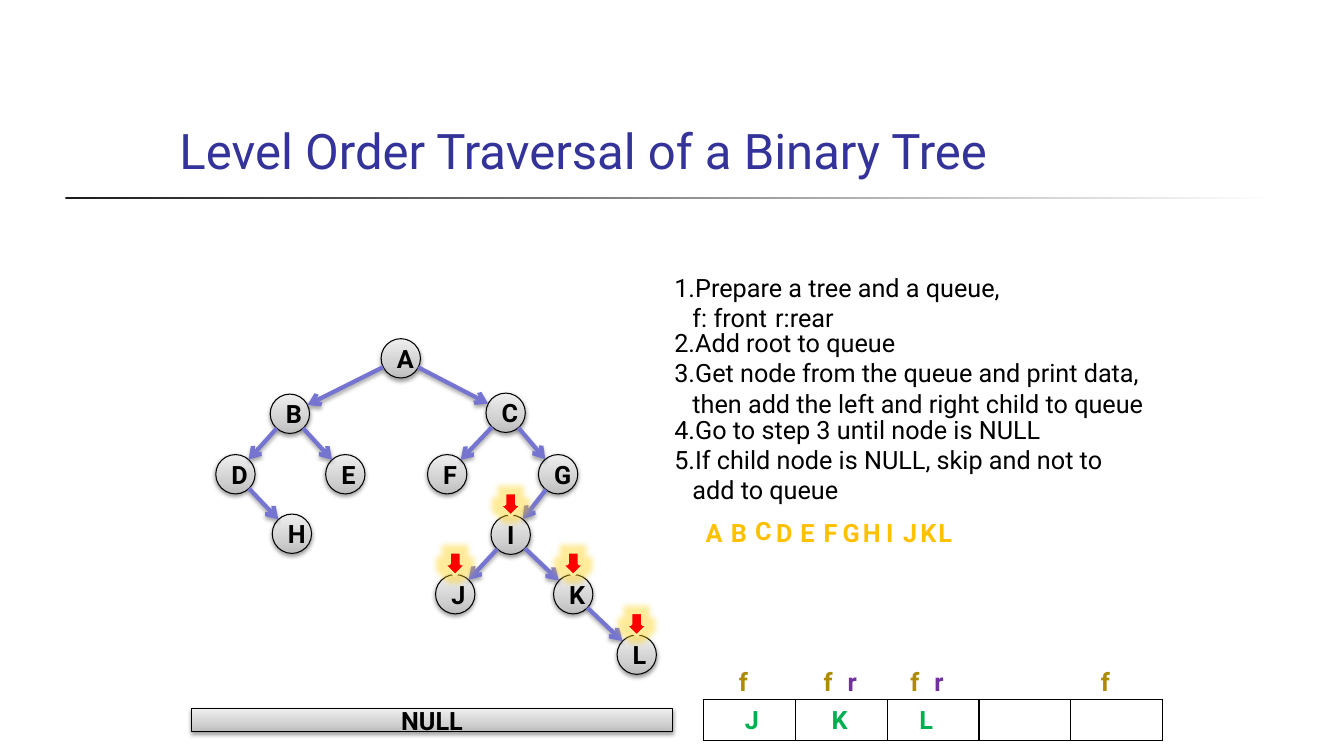
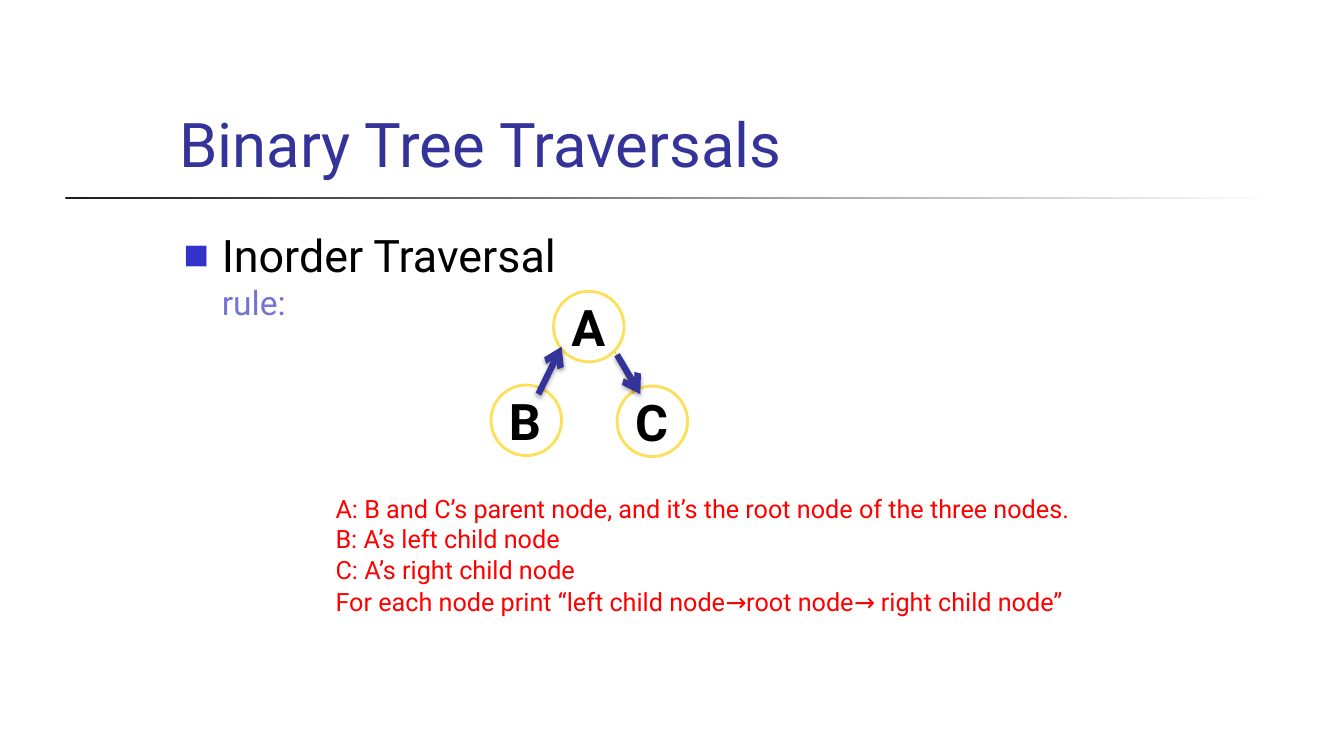
from math import hypot

from lxml import etree
from pptx import Presentation
from pptx.dml.color import RGBColor
from pptx.enum.shapes import MSO_CONNECTOR, MSO_SHAPE
from pptx.enum.text import MSO_ANCHOR, MSO_AUTO_SIZE, PP_ALIGN
from pptx.oxml import parse_xml
from pptx.oxml.ns import nsdecls, qn
from pptx.util import Inches, Pt

LEFT, CENTER = PP_ALIGN.LEFT, PP_ALIGN.CENTER
TOP, MIDDLE, BOTTOM = MSO_ANCHOR.TOP, MSO_ANCHOR.MIDDLE, MSO_ANCHOR.BOTTOM
RECT, OVAL, DOWN = MSO_SHAPE.RECTANGLE, MSO_SHAPE.OVAL, MSO_SHAPE.DOWN_ARROW
STRAIGHT = MSO_CONNECTOR.STRAIGHT
NO_FIT = MSO_AUTO_SIZE.NONE

FONT = "Roboto"
BLACK = RGBColor(0x00, 0x00, 0x00)
NAVY = RGBColor(0x33, 0x33, 0x99)
BULLET = RGBColor(0x33, 0x33, 0xCC)
LILAC = RGBColor(0x75, 0x75, 0xD1)
RED = RGBColor(0xFF, 0x00, 0x00)
AMBER = RGBColor(0xFF, 0xC0, 0x00)
GOLD = RGBColor(0xFF, 0xCF, 0x01)
YELLOW = RGBColor(0xFE, 0xDF, 0x59)
CREAM = RGBColor(0xFF, 0xEC, 0x99)
OLIVE = RGBColor(0xAD, 0x8C, 0x01)
GREEN = RGBColor(0x00, 0xB0, 0x50)
PURPLE = RGBColor(0x70, 0x30, 0xA0)
RULE_STOPS = [(0, "1C1C1C"), (100, "FFFFFF")]
NODE_STOPS = [(0, "BDBDBD"), (35, "D1D1D1"), (100, "EEEEEE")]

NODE_SIZE = 0.39
NODES = {
    "A": (1.88, 0), "B": (0.78, 0.55), "C": (2.92, 0.54),
    "D": (0.24, 1.15), "E": (1.33, 1.15), "F": (2.34, 1.15),
    "G": (3.44, 1.15), "H": (0.8, 1.74), "I": (2.97, 1.75),
    "J": (2.42, 2.34), "K": (3.59, 2.34), "L": (4.22, 2.94),
}
EDGES = ["AB", "BD", "BE", "DH", "AC", "CF", "CG", "GI", "IJ", "IK", "KL"]
STEPS = [
    (0, ["1.Prepare a tree and a queue,", "f: front\tr:rear"]),
    (0.55, ["2.Add root to queue"]),
    (0.85, ["3.Get node from the queue and print data,",
            "then add the left and right child to queue"]),
    (1.41, ["4.Go to step 3 until node is NULL"]),
    (1.71, ["5.If child node is NULL, skip and not to", "add to queue"]),
]
VISITED = [("A", 0), ("B", 0.25), ("C", 0.49), ("D", 0.7), ("E", 0.94),
           ("F", 1.17), ("G", 1.36), ("H", 1.56), ("I", 1.79), ("J", 1.96),
           ("K", 2.13), ("L", 2.31)]
POINTERS = [("f", 0.25), ("f", 1.09), ("r", 1.33), ("f", 1.95),
            ("r", 2.19), ("f", 3.84)]
QUEUED = [("J", 0.31), ("K", 1.17), ("L", 2.04)]
RULES = [
    (0, "A: B and C’s parent node, and it’s the root node of the three nodes."),
    (0.3, "B: A’s left child node"),
    (0.61, "C: A’s right child node"),
    (0.93, "For each node print “left child node→root node→ right child node”"),
]


def write(p, text, size=18, color=BLACK, bold=False, align=LEFT):
    """Add a formatted run to a paragraph."""
    p.alignment = align
    r = p.add_run()
    r.text = text
    r.font.name, r.font.size, r.font.bold = FONT, Pt(size), bold
    r.font.color.rgb = color


def place(sp, x, y, w, h):
    """Move and size a shape, in inches."""
    sp.left, sp.top, sp.width, sp.height = map(Inches, (x, y, w, h))


def label(s, text, x, y, w=0.5, h=0.4, **fmt):
    """Add a one-line text box."""
    tf = s.shapes.add_textbox(*map(Inches, (x, y, w, h))).text_frame
    tf.word_wrap = True
    write(tf.paragraphs[0], text, **fmt)
    return tf


def add_effect(effects, tag, color, alpha, **attrs):
    """Append a shadow or glow to an effect list."""
    effect = etree.SubElement(effects, qn("a:" + tag))
    for name, value in attrs.items():
        effect.set(name, str(value))
    clr = etree.SubElement(effect, qn("a:srgbClr"), val=str(color))
    etree.SubElement(clr, qn("a:alpha"), val=str(alpha * 1000))


def drop_shadow(effects, alpha, dist):
    """Append the soft downward shadow used on nodes and arrows."""
    add_effect(effects, "outerShdw", BLACK, alpha, blurRad=Pt(3.1),
               dist=Pt(dist), dir=5400000, rotWithShape=0)


def shape(s, kind, x, y, w, h, fill=None, line=None, width=0.75):
    """Add a preset shape without a shadow."""
    sp = s.shapes.add_shape(kind, *map(Inches, (x, y, w, h)))
    sp.shadow.inherit = False
    if fill is None:
        sp.fill.background()
    else:
        sp.fill.solid()
        sp.fill.fore_color.rgb = fill
    if line is None:
        sp.line.fill.background()
    else:
        sp.line.color.rgb = line
        sp.line.width = Pt(width)
    return sp


def set_gradient(sp, stops, angle):
    """Replace a shape's empty fill with a linear gradient."""
    gs = "".join(f'<a:gs pos="{pos * 1000}"><a:srgbClr val="{c}"/></a:gs>'
                 for pos, c in stops)
    grad = parse_xml(f'<a:gradFill {nsdecls("a")} rotWithShape="1">'
                     f'<a:gsLst>{gs}</a:gsLst>'
                     f'<a:lin ang="{angle * 60000}" scaled="0"/></a:gradFill>')
    spPr = sp._element.spPr
    spPr.replace(spPr.find(qn("a:noFill")), grad)


def grey_shape(s, kind, text, x, y, w, h):
    """Add a shaded grey shape with a bold caption."""
    sp = shape(s, kind, x, y, w, h, line=BLACK)
    set_gradient(sp, NODE_STOPS, 270)
    drop_shadow(sp._element.spPr.find(qn("a:effectLst")), 38, 1.6)
    tf = sp.text_frame
    tf.vertical_anchor = MIDDLE
    write(tf.paragraphs[0], text, bold=True, align=CENTER)


def connect(s, x1, y1, x2, y2, color, width, arrow=True):
    """Add a straight line, or an arrow with a shadow."""
    cn = s.shapes.add_connector(STRAIGHT, *map(Inches, (x1, y1, x2, y2)))
    cn.line.color.rgb = color
    cn.line.width = Pt(width)
    spPr = cn._element.spPr
    effects = etree.SubElement(spPr, qn("a:effectLst"))
    if arrow:
        etree.SubElement(spPr.find(qn("a:ln")), qn("a:tailEnd"), type="arrow")
        drop_shadow(effects, 35, 1.8)


def add_rule(prs, s):
    """Put the fading title rule on the slide master."""
    sp = shape(s, RECT, 0.65, 1.95, 12, 0.03)
    set_gradient(sp, RULE_STOPS, 0)
    prs.slide_master.shapes._spTree.append(sp._element)


def set_title(s, text, size):
    """Fill and place the title."""
    title = s.shapes.title
    place(title, 1.68, 0.23, 11.36, 1.6)
    tf = title.text_frame
    tf.auto_size, tf.vertical_anchor = NO_FIT, BOTTOM
    write(tf.paragraphs[0], text, size=size, color=NAVY)


def draw_tree(s, x, y):
    """Draw the binary tree and the NULL bar."""
    for name, (dx, dy) in NODES.items():
        grey_shape(s, OVAL, name, x + dx, y + dy, NODE_SIZE, NODE_SIZE)
    r = NODE_SIZE / 2
    for parent, child in EDGES:
        (px, py), (cx, cy) = NODES[parent], NODES[child]
        dist = hypot(cx - px, cy - py)
        ux, uy = r * (cx - px) / dist, r * (cy - py) / dist
        connect(s, x + px + r + ux, y + py + r + uy,
                x + cx + r - ux, y + cy + r - uy, LILAC, 3)
    grey_shape(s, RECT, "NULL", x, y + 3.67, 4.77, 0.23)


def mark_nodes(s, x, y, names):
    """Point a glowing red arrow at each named node."""
    for name in names:
        dx, dy = NODES[name]
        sp = shape(s, DOWN, x + dx + 0.08, y + dy - 0.22, 0.23, 0.23,
                   fill=RED, line=CREAM, width=2)
        add_effect(sp._element.spPr.find(qn("a:effectLst")), "glow",
                   GOLD, 40, rad=Pt(8))


def draw_steps(s, x, y):
    """Write the numbered steps, with their second lines indented."""
    for dy, (first, *rest) in STEPS:
        tf = label(s, first, x, y + dy, 5.4, 0.4 + 0.31 * len(rest))
        for text in rest:
            p = tf.add_paragraph()
            write(p, text)
            pPr = p._p.get_or_add_pPr()
            pPr.set("marL", "0")
            pPr.set("indent", str(Inches(0.18)))
            if "\t" in text:
                tabs = etree.SubElement(pPr, qn("a:tabLst"))
                etree.SubElement(tabs, qn("a:tab"), pos=str(Inches(1.12)), algn="l")


def draw_output(s, x, y):
    """Write the visited letters."""
    for name, dx in VISITED:
        dy = -0.02 if name == "C" else 0
        label(s, name, x + dx, y + dy, color=AMBER, bold=True)


def draw_queue(s, x, y, cells=5, w=0.91, h=0.41):
    """Draw the queue table with its pointers and contents."""
    frame = s.shapes.add_table(1, cells, *map(Inches, (x, y, cells * w, h)))
    table = frame.table
    table.first_row = table.horz_banding = False
    for cell in table.iter_cells():
        tcPr = cell._tc.get_or_add_tcPr()
        for side in ("lnL", "lnR", "lnT", "lnB"):
            ln = etree.SubElement(tcPr, qn("a:" + side), w=str(Pt(1)))
            fill = etree.SubElement(ln, qn("a:solidFill"))
            etree.SubElement(fill, qn("a:srgbClr"), val=str(BLACK))
        cell.fill.background()
    for name, dx in POINTERS:
        label(s, name, x + dx, y - 0.38, bold=True,
              color=OLIVE if name == "f" else PURPLE)
    for name, dx in QUEUED:
        label(s, name, x + dx, y, color=GREEN, bold=True)


def set_body(s):
    """Write the bulleted heading in the body placeholder."""
    body = s.placeholders[1]
    place(body, 1.72, 2.21, 11.33, 4.5)
    tf = body.text_frame
    tf.auto_size, tf.vertical_anchor = NO_FIT, TOP
    p = tf.paragraphs[0]
    write(p, "Inorder Traversal", size=32)
    p.add_line_break()
    write(p, "rule:", size=24, color=LILAC)
    pPr = p._p.get_or_add_pPr()
    pPr.set("marL", str(Inches(0.38)))
    pPr.set("indent", str(Inches(-0.38)))
    clr = etree.SubElement(pPr, qn("a:buClr"))
    etree.SubElement(clr, qn("a:srgbClr"), val=str(BULLET))
    etree.SubElement(pPr, qn("a:buSzPct"), val="60000")
    etree.SubElement(pPr, qn("a:buFont"), typeface=FONT)
    etree.SubElement(pPr, qn("a:buChar"), char="■")


def draw_triad(s, x, y):
    """Draw a parent and its two children with the visiting order."""
    for name, dx, dy in (("A", 0.62, 0), ("B", 0, 0.93), ("C", 1.25, 0.94)):
        shape(s, OVAL, x + dx, y + dy, 0.7, 0.7, line=YELLOW, width=2)
        label(s, name, x + dx + 0.08, y + dy, 0.7, 0.71, size=36, bold=True)
    for x1, y1, x2, y2 in ((0.7, 0.55, 0.49, 0.97), (1.23, 0.6, 1.42, 1.02)):
        connect(s, x + x1, y + y1, x + x2, y + y2, GOLD, 0.75, arrow=False)
    for x1, y1, x2, y2 in ((0.47, 1.02, 0.7, 0.55), (1.25, 0.63, 1.48, 1.02)):
        connect(s, x + x1, y + y1, x + x2, y + y2, NAVY, 4.5)


def draw_rules(s, x, y):
    """Write the red explanation lines."""
    for dy, text in RULES:
        label(s, text, x, y + dy, 8.2, color=RED)


def level_order_slide(prs):
    """Build the level order traversal slide."""
    s = prs.slides.add_slide(prs.slide_layouts[5])
    add_rule(prs, s)
    set_title(s, "Level Order Traversal of a Binary Tree", 35)
    draw_tree(s, 1.9, 3.36)
    draw_queue(s, 6.98, 6.94)
    draw_steps(s, 6.59, 2.65)
    draw_output(s, 6.9, 5.08)
    mark_nodes(s, 1.9, 3.36, "IJKL")


def inorder_slide(prs):
    """Build the inorder traversal slide."""
    s = prs.slides.add_slide(prs.slide_layouts[1])
    set_title(s, "Binary Tree Traversals", 44)
    set_body(s)
    draw_triad(s, 4.87, 2.89)
    draw_rules(s, 3.23, 4.84)


def main():
    """Build and save the presentation."""
    prs = Presentation()
    prs.slide_width, prs.slide_height = Inches(13.33), Inches(7.5)
    level_order_slide(prs)
    inorder_slide(prs)
    prs.save("out.pptx")


if __name__ == "__main__":
    main()
